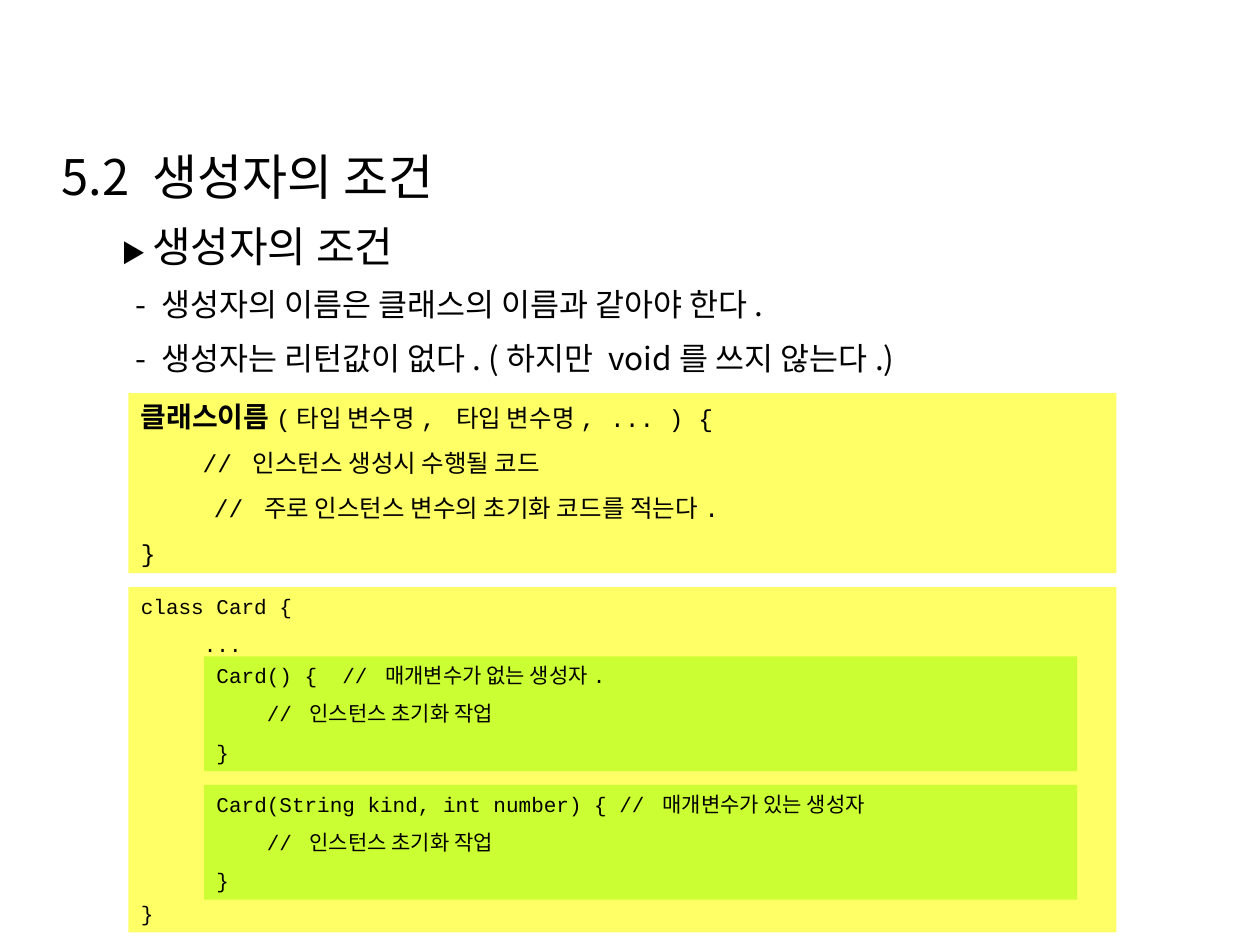
from pptx import Presentation
from pptx.dml.color import RGBColor
from pptx.enum.shapes import MSO_SHAPE
from pptx.enum.text import MSO_ANCHOR, PP_ALIGN
from pptx.util import Inches, Pt

RECTANGLE = MSO_SHAPE.RECTANGLE
TOP = MSO_ANCHOR.TOP
LEFT = PP_ALIGN.LEFT
COLORS = {"text": "000000", "outer": "FFFF66", "inner": "CCFF33"}
HEADING_FONT = "Noto Sans CJK KR"
CODE_FONT = "Courier New"


def add_line(paragraph, runs, font, space_before, indent=0):
    """Fill a paragraph with (text, size, bold) runs."""
    paragraph.alignment = LEFT
    paragraph.space_before = Pt(space_before)
    paragraph._p.get_or_add_pPr().set("marL", str(Inches(indent)))
    for text, size, bold in runs:
        run = paragraph.add_run()
        run.text = text
        run.font.name = font
        run.font.size = Pt(size)
        run.font.bold = bold
        run.font.color.rgb = RGBColor.from_string(COLORS["text"])


def add_heading(slide, box, runs, space_before, indent=0):
    """Place one heading or point in the given box."""
    text_frame = slide.shapes.add_textbox(*map(Inches, box)).text_frame
    text_frame.word_wrap = True
    add_line(text_frame.paragraphs[0], runs, HEADING_FONT, space_before, indent)


def add_code_panel(slide, box, color, lines):
    """Place a filled panel of (runs, space before, indent) code lines."""
    panel = slide.shapes.add_shape(RECTANGLE, *map(Inches, box))
    panel.shadow.inherit = False
    panel.fill.solid()
    panel.fill.fore_color.rgb = RGBColor.from_string(COLORS[color])
    panel.line.fill.background()
    text_frame = panel.text_frame
    text_frame.word_wrap = True
    text_frame.vertical_anchor = TOP
    for index, (runs, space_before, indent) in enumerate(lines):
        paragraph = text_frame.add_paragraph() if index else text_frame.paragraphs[0]
        add_line(paragraph, runs, CODE_FONT, space_before, indent)


def add_headings(slide, left, top):
    """Place the section title, topic and points from the given corner."""
    add_heading(slide, (left, top, 9.37, 0.57), [("5.2 생성자의 조건", 28, False)], 17.5)
    topic_left = left + 0.48
    topic = [("▶ ", 14, False), ("생성자의 조건", 24, False)]
    add_heading(slide, (topic_left, top + 0.59, 8.94, 0.5), topic, 15)
    points = (
        "- 생성자의 이름은 클래스의 이름과 같아야 한다.",
        "- 생성자는 리턴값이 없다. (하지만 void를 쓰지 않는다.)",
    )
    for index, point in enumerate(points):
        box = (topic_left, top + 1.1 + 0.43 * index, 8.31, 0.4)
        add_heading(slide, box, [(point, 18, False)], 11.2, 0.11)


def add_syntax(slide, left, top, width, height):
    """Place the general form of a constructor."""
    signature = [("클래스이름", 16, True), ("(타입 변수명, 타입 변수명, ... ) {", 14, False)]
    body = (
        ("// 인스턴스 생성시 수행될 코드", 0.49),
        ("// 주로 인스턴스 변수의 초기화 코드를 적는다.", 0.58),
        ("}", 0),
    )
    lines = [(signature, 8.8, 0)]
    lines += [([(text, 14, False)], 8.8, indent) for text, indent in body]
    add_code_panel(slide, (left, top, width, height), "outer", lines)


def add_class_example(slide, left, top, width, height):
    """Place the class panel with its two constructor panels."""
    class_lines = (("class Card {", 7.5, 0), ("...", 7.5, 0.5), ("}", 139.5, 0))
    lines = [([(text, 12, False)], space, indent) for text, space, indent in class_lines]
    add_code_panel(slide, (left, top, width, height), "outer", lines)
    signatures = (
        "Card() {  // 매개변수가 없는 생성자.",
        "Card(String kind, int number) { // 매개변수가 있는 생성자",
    )
    for index, signature in enumerate(signatures):
        body = ((signature, 0), ("// 인스턴스 초기화 작업", 0.4), ("}", 0))
        lines = [([(text, 12, False)], 7.5, indent) for text, indent in body]
        box = (left + 0.6, top + 0.55 + 1.02 * index, width - 0.91, 0.91)
        add_code_panel(slide, box, "inner", lines)


def main():
    """Build and save the constructor slide."""
    presentation = Presentation()
    presentation.slide_width = Inches(10)
    presentation.slide_height = Inches(7.5)
    slide = presentation.slides.add_slide(presentation.slide_layouts[6])
    add_headings(slide, 0.39, 1.11)
    add_syntax(slide, 1.02, 3.12, 7.84, 1.43)
    add_class_example(slide, 1.02, 4.66, 7.84, 2.74)
    presentation.save("out.pptx")


if __name__ == "__main__":
    main()
